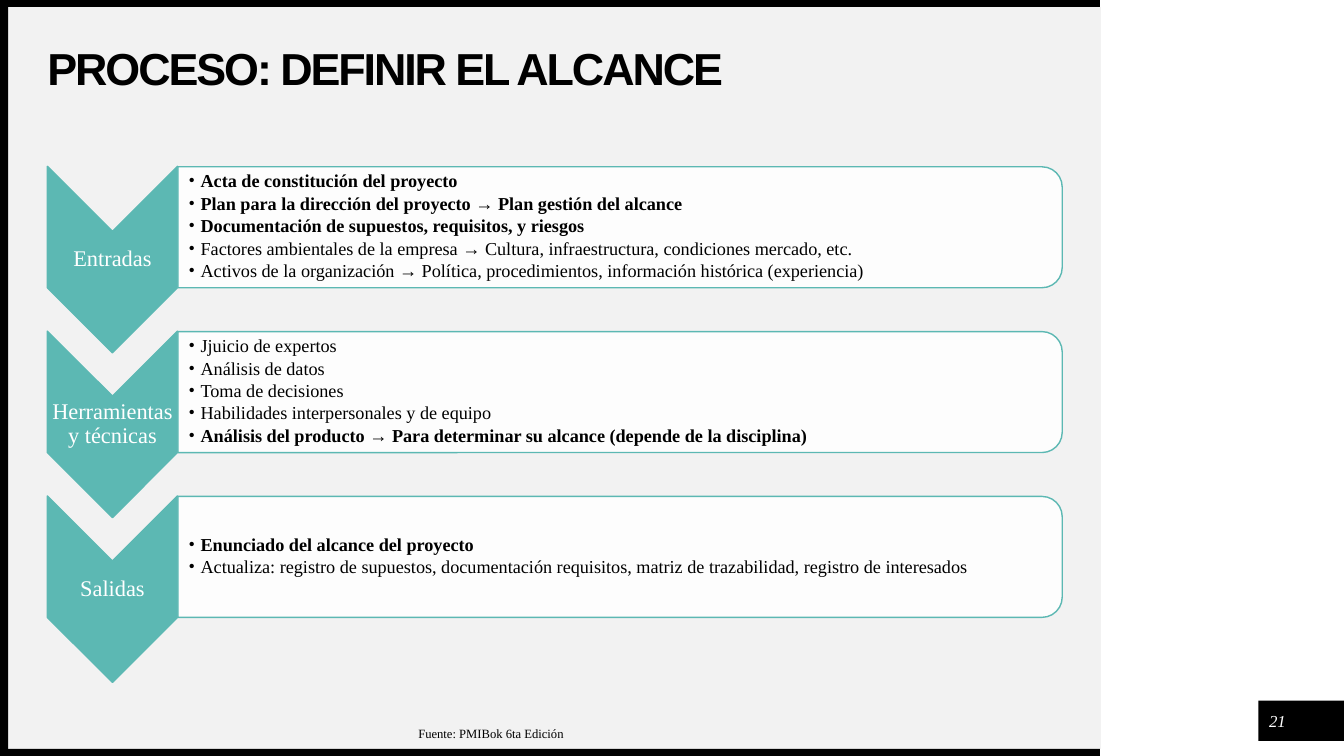
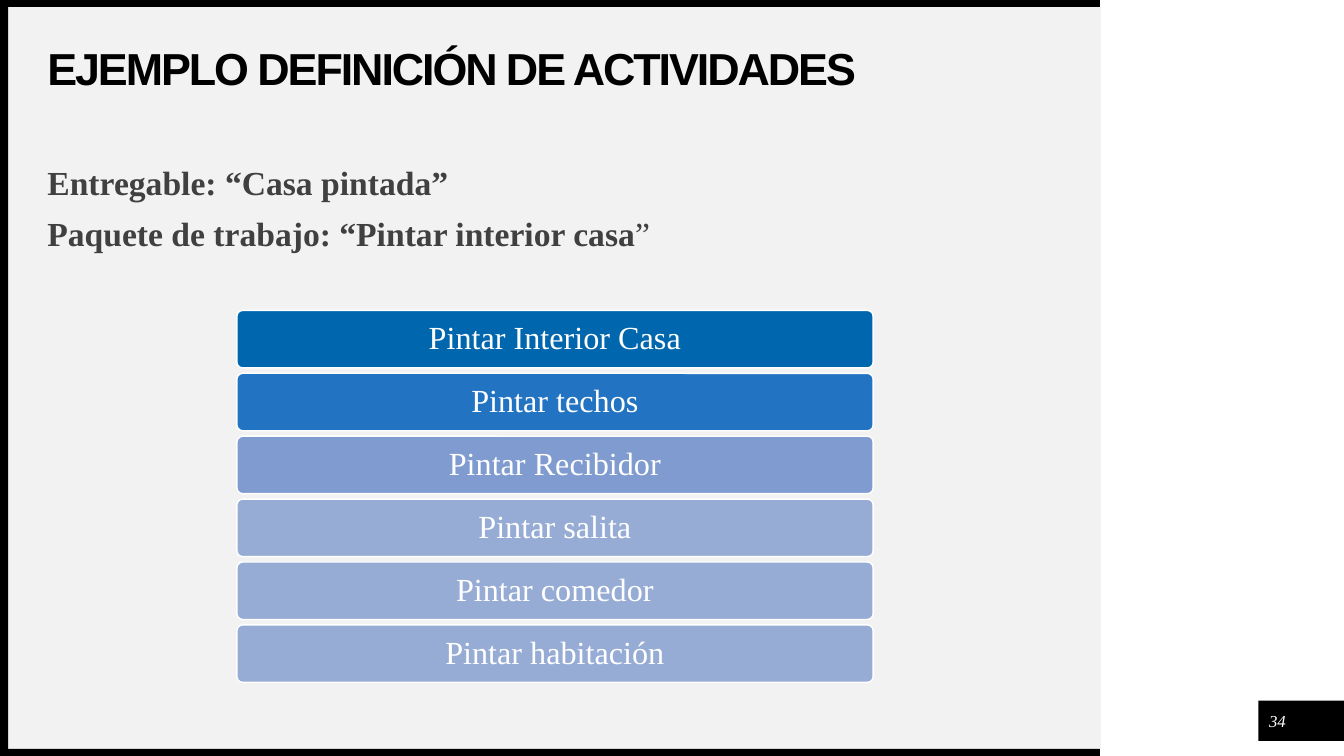
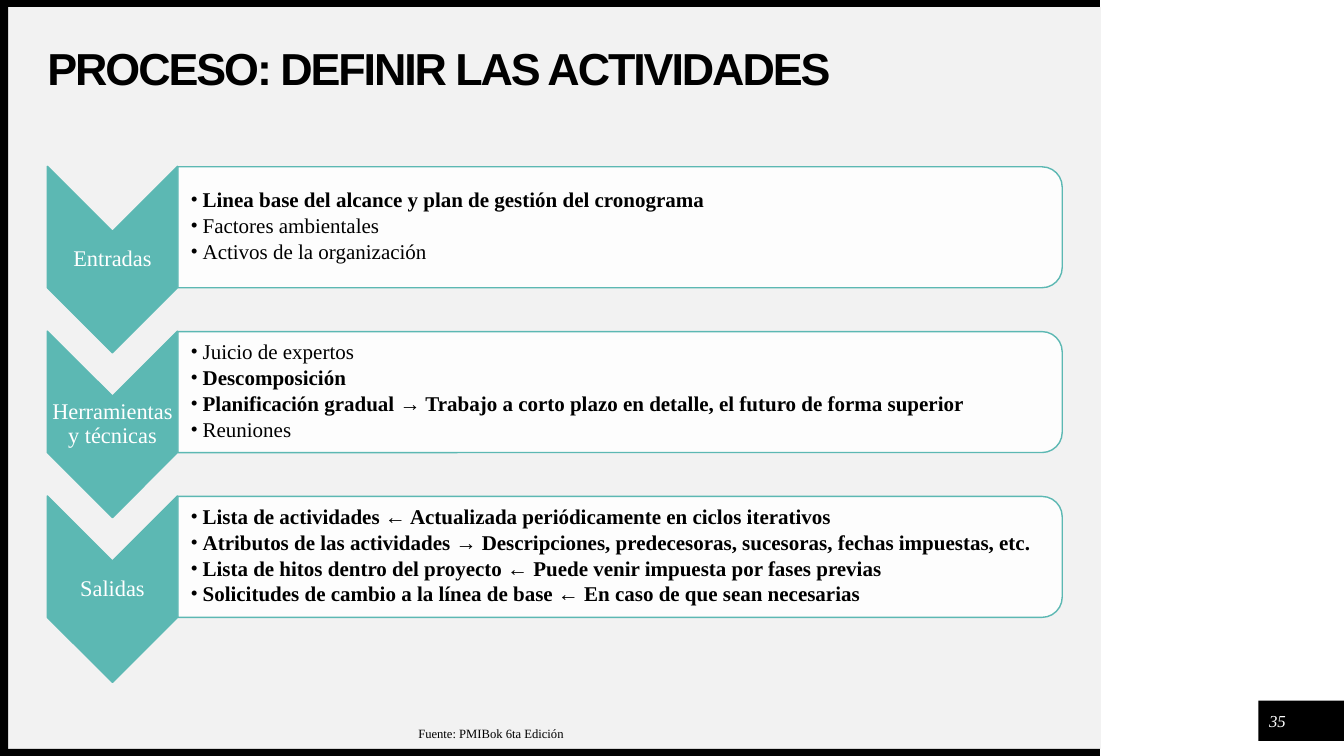
from lxml.etree import SubElement
from pptx import Presentation
from pptx.dml.color import RGBColor
from pptx.enum.shapes import MSO_SHAPE
from pptx.enum.text import MSO_ANCHOR, PP_ALIGN
from pptx.oxml.ns import qn
from pptx.util import Inches, Pt

SERIF = "Times New Roman"
BLACK, WHITE, PALE = "000000", "FFFFFF", "F2F2F2"
DARK, TEAL = "404040", "5CB8B3"
LEFT, MID = PP_ALIGN.LEFT, PP_ALIGN.CENTER


def draw(slide, kind, at, fill, line=None, turn=0):
    shape = slide.shapes.add_shape(kind, *map(Inches, at))
    shape.shadow.inherit = False
    shape.rotation = turn
    shape.fill.solid()
    shape.fill.fore_color.rgb = RGBColor.from_string(fill)
    if line:
        shape.line.color.rgb = RGBColor.from_string(line)
        shape.line.width = Pt(1)
    else:
        shape.line.fill.background()
    return shape


def write(shape, rows, size, font=SERIF, align=LEFT, space=0.9, before=0, after=0,
          pads=(0, 0, 0, 0), middle=True, bullet=False, italic=False, track=0):
    frame = shape.text_frame
    frame.word_wrap = True
    frame.vertical_anchor = MSO_ANCHOR.MIDDLE if middle else MSO_ANCHOR.TOP
    frame.margin_left, frame.margin_top, frame.margin_right, frame.margin_bottom = map(Inches, pads)
    for i, row in enumerate(rows):
        para = frame.paragraphs[0] if i == 0 else frame.add_paragraph()
        if bullet:
            props = para._p.get_or_add_pPr()
            props.set("marL", str(Inches(0.12)))
            props.set("indent", str(Inches(-0.12)))
            SubElement(props, qn("a:buFont")).set("typeface", font)
            SubElement(props, qn("a:buChar")).set("char", "•")
        para.alignment = align
        para.line_spacing = space
        para.space_before = Pt(before if i else 0)
        para.space_after = Pt(after)
        for text, bold, color in row:
            run = para.add_run()
            run.text = text
            run.font.name = font
            run.font.size = Pt(size)
            run.font.bold = bold
            run.font.italic = italic
            run.font.color.rgb = RGBColor.from_string(color)
            if track:
                run._r.get_or_add_rPr().set("spc", str(track))


scope = [
    ("Entradas", [
        ("Acta de constitución del proyecto", True),
        ("Plan para la dirección del proyecto → Plan gestión del alcance", True),
        ("Documentación de supuestos, requisitos, y riesgos", True),
        ("Factores ambientales de la empresa → Cultura, infraestructura, condiciones mercado, etc.", False),
        ("Activos de la organización → Política, procedimientos, información histórica (experiencia)", False)]),
    ("Herramientas y técnicas", [
        ("Jjuicio de expertos", False),
        ("Análisis de datos", False),
        ("Toma de decisiones", False),
        ("Habilidades interpersonales y de equipo", False),
        ("Análisis del producto → Para determinar su alcance (depende de la disciplina)", True)]),
    ("Salidas", [
        ("Enunciado del alcance del proyecto", True),
        ("Actualiza: registro de supuestos, documentación requisitos, matriz de trazabilidad, "
         "registro de interesados", False)]),
]
tasks = [
    ("Entradas", [
        ("Linea base del alcance y plan de gestión del cronograma", True),
        ("Factores ambientales", False),
        ("Activos de la organización", False)]),
    ("Herramientas y técnicas", [
        ("Juicio de expertos", False),
        ("Descomposición", True),
        ("Planificación gradual → Trabajo a corto plazo en detalle, el futuro de forma superior", True),
        ("Reuniones", False)]),
    ("Salidas", [
        ("Lista de actividades ← Actualizada periódicamente en ciclos iterativos", True),
        ("Atributos de las actividades → Descripciones, predecesoras, sucesoras, fechas impuestas, etc.", True),
        ("Lista de hitos dentro del proyecto ← Puede venir impuesta por fases previas", True),
        ("Solicitudes de cambio a la línea de base ← En caso de que sean necesarias", True)]),
]
rooms = [
    ("Pintar Interior Casa", "0066AE"),
    ("Pintar techos", "2273C1"),
    ("Pintar Recibidor", "7F9BCF"),
    ("Pintar salita", "97ACD5"),
    ("Pintar comedor", "97ACD5"),
    ("Pintar habitación", "97ACD5"),
]
pages = [
    ("PROCESO: DEFINIR EL ALCANCE", "21", scope, 13, 0.11),
    ("EJEMPLO DEFINICIÓN DE ACTIVIDADES", "34", None, 0, 0),
    ("PROCESO: DEFINIR LAS ACTIVIDADES", "35", tasks, 15, 0.13),
]
bands = [
    ((0.08, 0.07, 10.84, 7.36), PALE),
    ((12.48, 6.95, 0.86, 0.4), BLACK),
    ((0, 7.43, 10.91, 0.07), BLACK),
    ((0, 0, 10.91, 0.07), BLACK),
    ((0, 0, 0.08, 7.5), BLACK),
]

deck = Presentation()
deck.slide_width, deck.slide_height = Inches(13.33), Inches(7.5)

for title, number, steps, size, pad in pages:
    slide = deck.slides.add_slide(deck.slide_layouts[6])
    add = slide.shapes.add_textbox
    for at, fill in bands:
        draw(slide, MSO_SHAPE.RECTANGLE, at, fill)
    write(add(Inches(0.47), Inches(0.47), Inches(10.06), Inches(0.47)),
          [[(title, True, BLACK)]], 32, font="Arial", track=-150)
    write(add(Inches(12.52), Inches(7), Inches(0.3), Inches(0.3)),
          [[(number, False, WHITE)]], 12, align=MID, space=1, italic=True)

    if steps:
        for i, (name, items) in enumerate(steps):
            drop = i * 3.27 / 2
            draw(slide, MSO_SHAPE.CHEVRON, (0.19, 1.93 + drop, 1.85, 1.29), TEAL, TEAL, 90)
            write(add(Inches(0.47), Inches(2.3 + drop), Inches(1.29), Inches(0.55)),
                  [[(name, False, WHITE)]], 16, align=MID, pads=(0.01,) * 4)
            panel = draw(slide, MSO_SHAPE.ROUND_2_SAME_RECTANGLE, (5.55, -2.13 + drop, 1.2, 8.77),
                         WHITE, TEAL, 90)
            tint = panel._element.spPr.find(qn("a:solidFill"))[0]
            SubElement(tint, qn("a:alpha")).set("val", "90000")
            write(add(Inches(1.76), Inches(1.71 + drop), Inches(8.71), Inches(1.08)),
                  [[(text, bold, BLACK)] for text, bold in items],
                  size, after=size * 0.15, pads=(pad, 0.01, 0.01, 0.01), bullet=True)
        write(add(Inches(4.05), Inches(7.15), Inches(6.48), Inches(0.25)),
              [[("Fuente: PMIBok 6ta Edición", False, BLACK)]],
              9, space=1, pads=(0.1, 0.05, 0.1, 0.05), middle=False)
    else:
        write(add(Inches(0.47), Inches(1.65), Inches(10.25), Inches(1.1)),
              [[("Entregable: “Casa pintada”", True, DARK)],
               [("Paquete de trabajo: “Pintar interior casa", True, DARK), ("”", False, DARK)]],
              24, before=11, middle=False)
        for i, (name, fill) in enumerate(rooms):
            bar = draw(slide, MSO_SHAPE.ROUNDED_RECTANGLE, (2.35, 3.08 + i * 3.12 / 5, 6.31, 0.57), fill, WHITE)
            bar.adjustments[0] = 0.1
            write(bar, [[(name, False, WHITE)]], 23, align=MID, pads=(0.1,) * 4)

deck.save("out.pptx")
